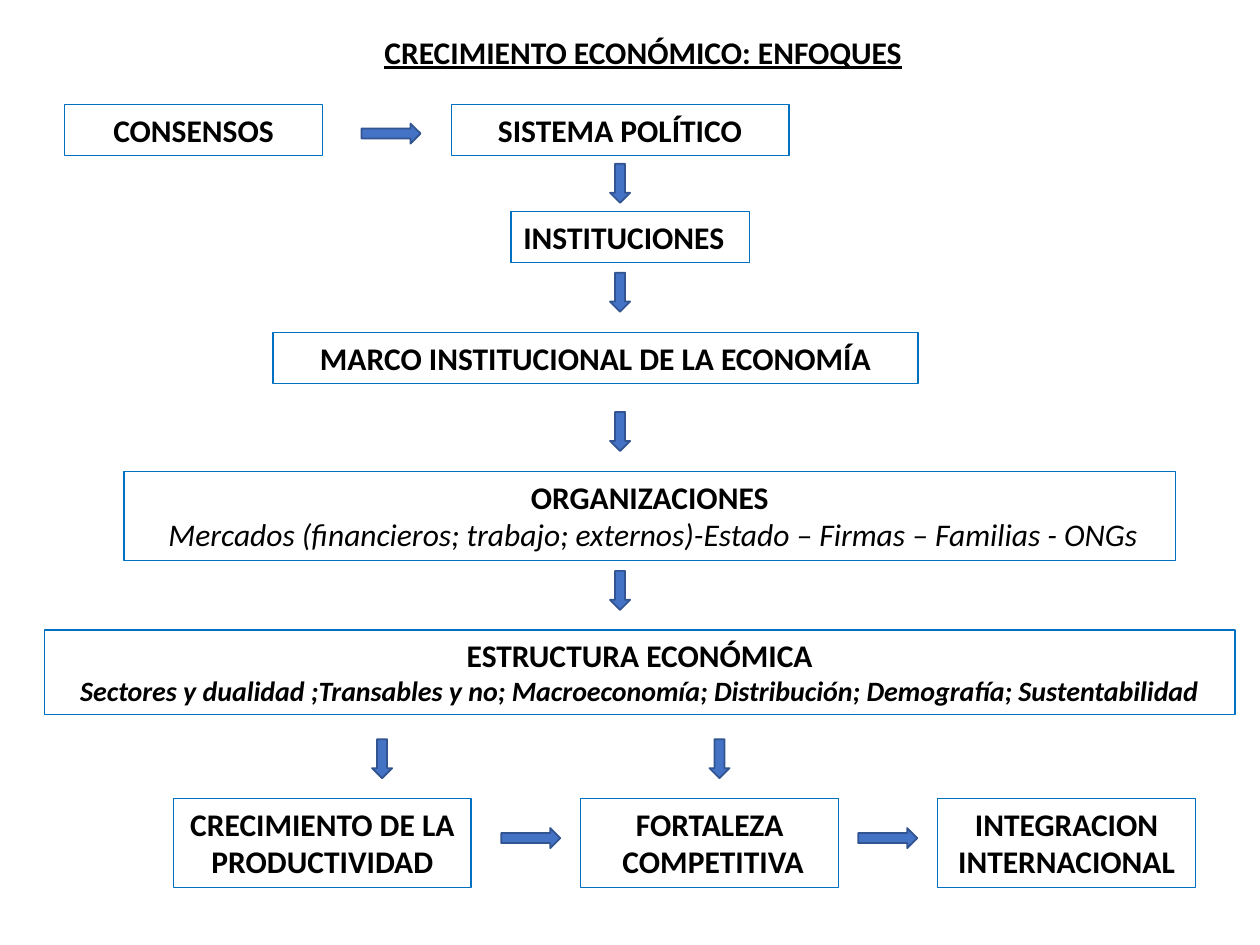
import pptx
import pptx.util
import pptx.dml.color
import pptx.enum.shapes
import pptx.enum.text

Pt = pptx.util.Pt
SHAPE = pptx.enum.shapes.MSO_SHAPE
ALIGN = pptx.enum.text.PP_ALIGN

COLORS = {"text": "000000", "border": "0070C0",
          "arrow": "4472C4", "arrow_line": "325491"}


class Diagram:
    font = "Calibri"
    size = 18
    long_side, short_side = 33.8, 11.5
    down_length = 22.3

    def __init__(self, slide):
        self.s = slide

    def color(self, name):
        return pptx.dml.color.RGBColor.from_string(COLORS[name])

    def set_text(self, sp, lines, align):
        """Each line is (text, format), the format overriding bold 18 pt."""
        tf = sp.text_frame
        tf.word_wrap = True
        tf.vertical_anchor = pptx.enum.text.MSO_ANCHOR.TOP
        tf.text = "\n".join(text for text, _ in lines)
        for p, (_, style) in zip(tf.paragraphs, lines):
            p.alignment = align
            for r in p.runs:
                r.font.name = self.font
                r.font.size = Pt(style.get("size", self.size))
                r.font.bold = style.get("bold", True)
                r.font.italic = style.get("italic", False)
                r.font.underline = style.get("underline", False)
                r.font.color.rgb = self.color("text")

    def title(self, x, y, w, h, text):
        sp = self.s.shapes.add_textbox(Pt(x), Pt(y), Pt(w), Pt(h))
        self.set_text(sp, [(text, {"underline": True})], ALIGN.LEFT)

    def shape(self, kind, x, y, w, h, line, width):
        sp = self.s.shapes.add_shape(kind, Pt(x), Pt(y), Pt(w), Pt(h))
        sp.shadow.inherit = False
        sp.line.color.rgb = self.color(line)
        sp.line.width = Pt(width)
        return sp

    def box(self, x, y, w, h, *lines, align=ALIGN.CENTER):
        sp = self.shape(SHAPE.RECTANGLE, x, y, w, h, "border", 0.75)
        sp.fill.background()
        self.set_text(sp, lines, align)

    def arrow(self, kind, x, y, w, h):
        sp = self.shape(kind, x, y, w, h, "arrow_line", 1)
        sp.fill.solid()
        sp.fill.fore_color.rgb = self.color("arrow")

    def right_arrow(self, x, y):
        self.arrow(SHAPE.RIGHT_ARROW, x, y, self.long_side, self.short_side)

    def down_arrow(self, x, y):
        self.arrow(SHAPE.DOWN_ARROW, x, y, self.short_side, self.down_length)


def main():
    prs = pptx.Presentation()
    prs.slide_width, prs.slide_height = Pt(720), Pt(540)
    d = Diagram(prs.slides.add_slide(prs.slide_layouts[6]))
    one_line, two_lines = 29.1, 50.9

    d.title(212.6, 15.2, 317.5, one_line, "CRECIMIENTO ECONÓMICO: ENFOQUES")

    # Political origin and institutions
    d.box(36.8, 59.6, 147.6, one_line, ("CONSENSOS", {}))
    d.box(257.8, 59.6, 193, one_line, ("SISTEMA POLÍTICO", {}))
    d.box(292, 120.9, 136.4, one_line, ("INSTITUCIONES", {}), align=ALIGN.LEFT)
    d.box(156, 190, 368.6, one_line,
          ("MARCO INSTITUCIONAL DE LA ECONOMÍA", {}))

    # Organizations and economic structure
    d.box(70.8, 269.4, 601, two_lines,
          ("ORGANIZACIONES", {}),
          (" Mercados (financieros; trabajo; externos)-Estado – Firmas – "
           "Familias - ONGs", {"bold": False, "italic": True}))
    d.box(25.4, 360, 680.4, 48.4,
          ("ESTRUCTURA ECONÓMICA", {}),
          ("Sectores y dualidad ;Transables y no; Macroeconomía; Distribución; "
           "Demografía; Sustentabilidad", {"size": 16, "italic": True}))

    # Outcomes
    results_y = 456.3
    d.box(99.2, results_y, 170, two_lines,
          ("CRECIMIENTO DE LA PRODUCTIVIDAD", {}))
    d.box(331.7, results_y, 147.6, two_lines,
          ("FORTALEZA", {}), (" COMPETITIVA", {}))
    d.box(535.7, results_y, 147.6, two_lines,
          ("INTEGRACION", {}), ("INTERNACIONAL", {}))

    # Arrows between the levels
    for y in (93.6, 155.8, 235.4, 326.2):
        d.down_arrow(348.6, y)
    for x in (212.6, 405.4):
        d.down_arrow(x, 422.4)

    # Arrows along the rows
    for x, y in ((206.6, 70.6), (286.4, 473.2), (490.4, 473.2)):
        d.right_arrow(x, y)

    prs.save("out.pptx")


if __name__ == "__main__":
    main()
